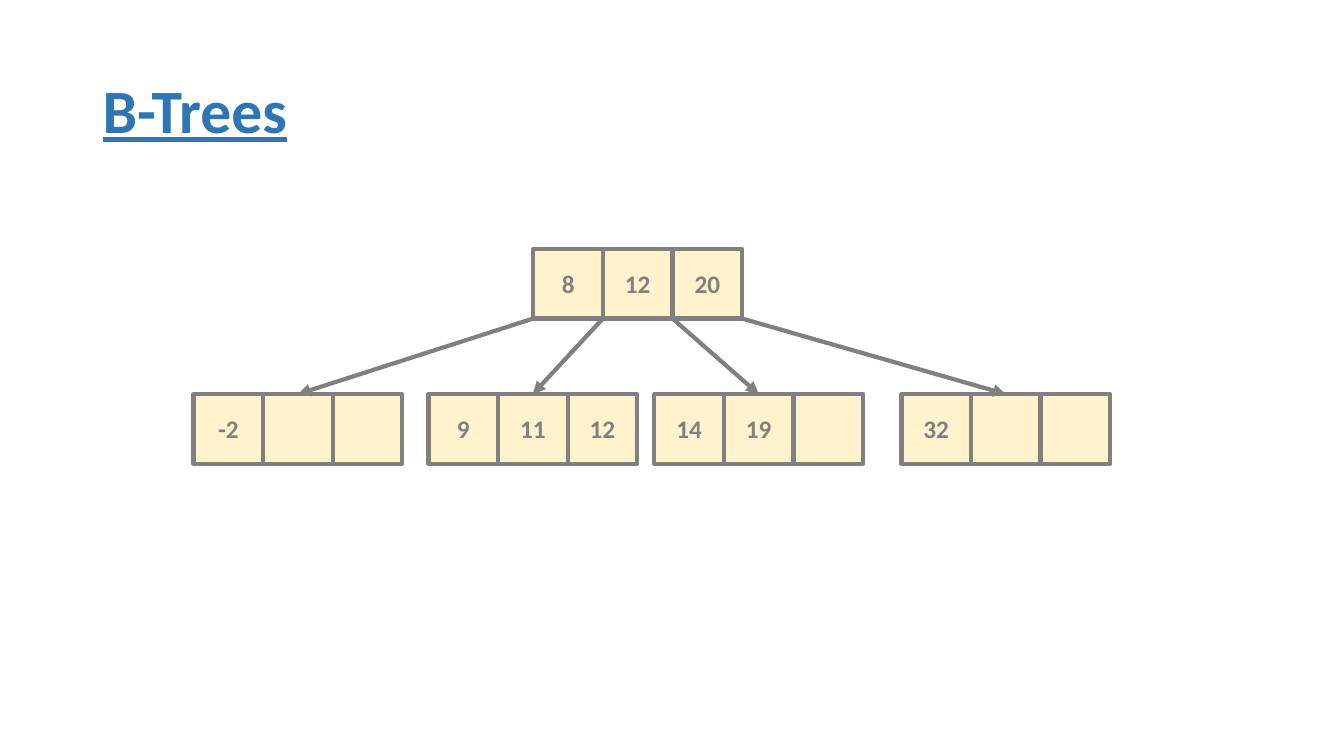
import pptx
import pptx.util
import pptx.dml.color
import pptx.enum.shapes
import pptx.enum.text
import pptx.oxml.ns
import lxml.etree

TITLE = "B-Trees"
ROOT = (5.29, 2.47, ("8", "12", "20"))
LEAVES = [
    (1.92, 3.91, ("-2", "", "")),
    (4.25, 3.91, ("9", "11", "12")),
    (6.49, 3.91, ("14", "19", "")),
    (8.94, 3.91, ("32", "", "")),
]
SIDE = 0.69
COLORS = {"title": "2E75B6", "cell": "FFF2CC", "edge": "808080"}
FONTS = {
    "title": {"name": "Calibri", "size": pptx.util.Pt(44), "bold": True, "underline": True},
    "key": {"name": "Calibri", "size": pptx.util.Pt(18), "bold": True},
}
Inches = pptx.util.Inches
MIDDLE = pptx.enum.text.MSO_ANCHOR.MIDDLE


def tint(key):
    return pptx.dml.color.RGBColor.from_string(COLORS[key])


def write(shape, text, style, color, align, space=1.0):
    frame = shape.text_frame
    frame.word_wrap = True
    frame.vertical_anchor = MIDDLE
    para = frame.paragraphs[0]
    para.alignment = align
    para.line_spacing = space
    run = para.add_run()
    run.text = text
    for name, value in FONTS[style].items():
        setattr(run.font, name, value)
    run.font.color.rgb = tint(color)


def stroke(shape):
    shape.line.color.rgb = tint("edge")
    shape.line.width = pptx.util.Pt(3)


def draw_node(slide, left, top, keys):
    cells = []
    for i, key in enumerate(keys):
        cell = slide.shapes.add_shape(
            pptx.enum.shapes.MSO_SHAPE.RECTANGLE,
            Inches(left + i * SIDE), Inches(top), Inches(SIDE), Inches(SIDE))
        cell.shadow.inherit = False
        cell.fill.solid()
        cell.fill.fore_color.rgb = tint("cell")
        stroke(cell)
        if key:
            write(cell, key, "key", "edge", pptx.enum.text.PP_ALIGN.CENTER)
        cells.append(cell)
    return cells


def draw_arrow(slide, x, y, cell):
    arrow = slide.shapes.add_connector(
        pptx.enum.shapes.MSO_CONNECTOR.STRAIGHT,
        Inches(x), Inches(y), cell.left + cell.width // 2, cell.top)
    arrow.end_connect(cell, 0)
    stroke(arrow)
    qn = pptx.oxml.ns.qn
    lxml.etree.SubElement(arrow.line._get_or_add_ln(), qn("a:tailEnd"), type="triangle")
    lxml.etree.SubElement(arrow._element.spPr, qn("a:effectLst"))


def main():
    deck = pptx.Presentation()
    deck.slide_width, deck.slide_height = Inches(13.33), Inches(7.5)
    slide = deck.slides.add_slide(deck.slide_layouts[6])
    title = slide.shapes.add_textbox(Inches(0.92), Inches(0.4), Inches(11.5), Inches(1.45))
    write(title, TITLE, "title", "title", pptx.enum.text.PP_ALIGN.LEFT, 0.9)
    draw_node(slide, *ROOT)
    left, top, _ = ROOT
    for i, leaf in enumerate(LEAVES):
        cells = draw_node(slide, *leaf)
        draw_arrow(slide, left + i * SIDE, top + SIDE, cells[1])
    deck.save("out.pptx")


if __name__ == "__main__":
    main()
